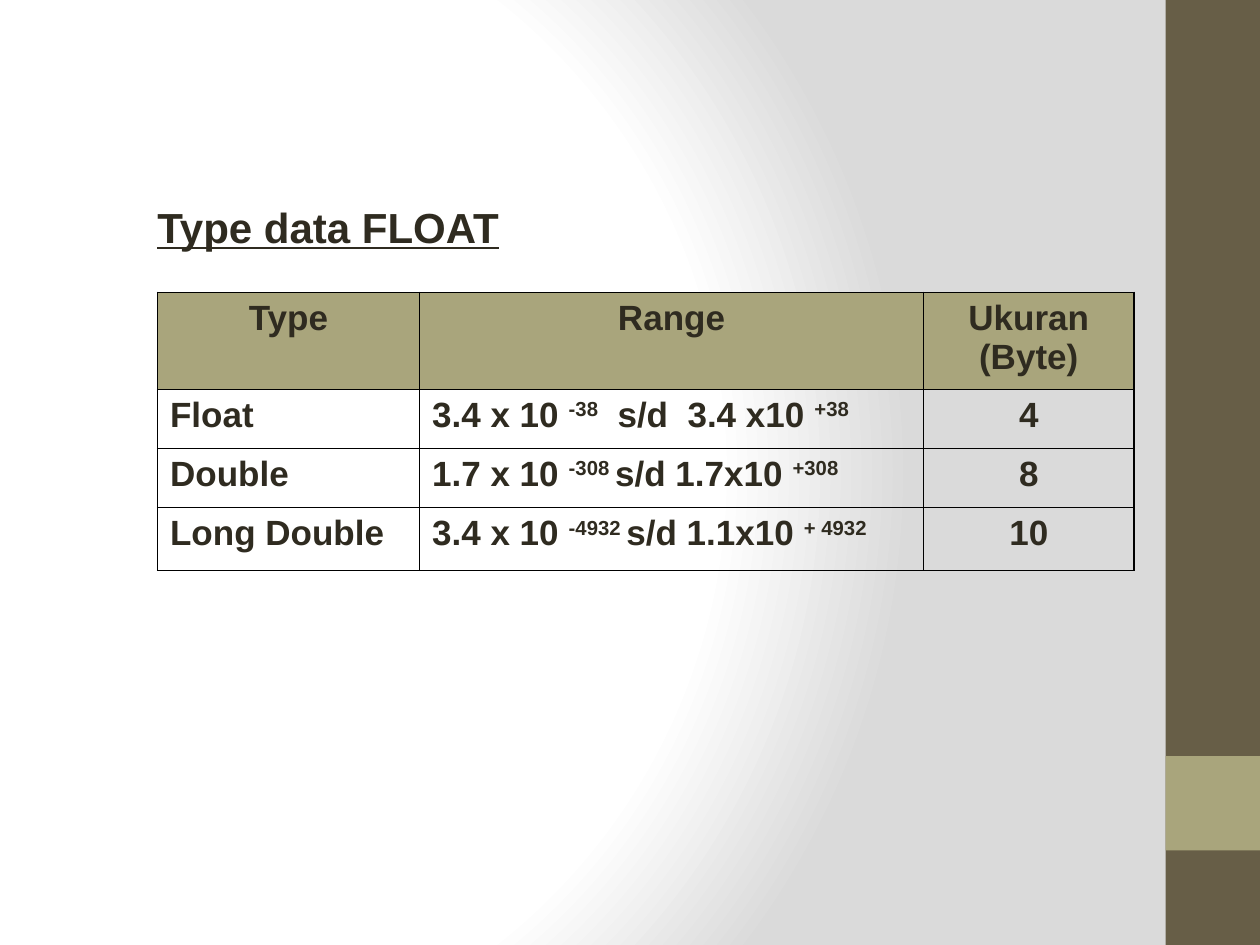
from dataclasses import dataclass

from pptx import Presentation
from pptx.dml.color import RGBColor
from pptx.enum.shapes import MSO_SHAPE
from pptx.enum.text import PP_ALIGN
from pptx.oxml import parse_xml
from pptx.oxml.ns import nsdecls
from pptx.util import Inches, Pt


@dataclass(frozen=True)
class Theme:
    """Colours, font and type sizes."""
    text: str = "2F2B20"
    band: str = "675E47"
    accent: str = "A9A57C"
    border: str = "000000"
    light: str = "FFFFFF"
    shade: str = "DADADA"
    font: str = "Arial"
    heading_size: int = 24
    table_size: int = 20


def write_text(paragraph, parts, theme, size, align=PP_ALIGN.LEFT, underline=None, hanging=0):
    """Write alternating normal and superscript parts into a paragraph."""
    paragraph.alignment = align
    if hanging:
        properties = paragraph._p.get_or_add_pPr()
        properties.set("marL", str(Inches(hanging)))
        properties.set("indent", str(-Inches(hanging)))
    for index, part in enumerate(parts):
        run = paragraph.add_run()
        run.text = part
        font = run.font
        font.name, font.size, font.bold = theme.font, Pt(size), True
        font.underline = underline
        font.color.rgb = RGBColor.from_string(theme.text)
        if index % 2:
            font._element.set("baseline", "30000")


class SlideBuilder:
    """Holds the theme and the current slide."""

    def __init__(self, slide, theme):
        """Keep the slide and its theme."""
        self.slide, self.theme = slide, theme

    def background(self):
        """Fill the background with a circular gradient."""
        stops = ((0, self.theme.light), (75, self.theme.light), (100, self.theme.shade))
        stop_xml = "".join(
            f'<a:gs pos="{position * 1000}"><a:srgbClr val="{color}"/></a:gs>'
            for position, color in stops)
        self.slide.element.cSld.insert(0, parse_xml(
            f'<p:bg {nsdecls("p", "a")}><p:bgPr><a:gradFill rotWithShape="1">'
            f'<a:gsLst>{stop_xml}</a:gsLst><a:path path="circle">'
            '<a:fillToRect l="20000" t="50000" r="100000" b="50000"/></a:path>'
            '</a:gradFill><a:effectLst/></p:bgPr></p:bg>'))

    def rectangle(self, left, top, width, height, color):
        """Add a plain filled rectangle."""
        shape = self.slide.shapes.add_shape(
            MSO_SHAPE.RECTANGLE, Inches(left), Inches(top), Inches(width), Inches(height))
        shape.shadow.inherit = False
        shape.fill.solid()
        shape.fill.fore_color.rgb = RGBColor.from_string(color)
        shape.line.fill.background()

    def heading(self, left, top, width, height, text):
        """Add an underlined heading without insets."""
        box = self.slide.shapes.add_textbox(
            Inches(left), Inches(top), Inches(width), Inches(height))
        frame = box.text_frame
        frame.word_wrap = True
        frame.margin_left = frame.margin_right = frame.margin_top = frame.margin_bottom = 0
        write_text(frame.paragraphs[0], [text], self.theme, self.theme.heading_size,
                   align=PP_ALIGN.JUSTIFY, underline=True)

    def cell_borders(self, cell):
        """Draw a thin line on all four sides of a cell."""
        properties = cell._tc.get_or_add_tcPr()
        for index, side in enumerate(("lnL", "lnR", "lnT", "lnB")):
            properties.insert(index, parse_xml(
                f'<a:{side} {nsdecls("a")} w="{Pt(1)}"><a:solidFill>'
                f'<a:srgbClr val="{self.theme.border}"/></a:solidFill></a:{side}>'))

    def table(self, left, top, widths, heights, rows):
        """Add a bordered table with a shaded header row."""
        frame = self.slide.shapes.add_table(
            len(rows), len(widths), Inches(left), Inches(top),
            Inches(sum(widths)), Inches(sum(heights)))
        table = frame.table
        table.first_row = table.horz_banding = False
        for column, width in zip(table.columns, widths):
            column.width = Inches(width)
        for row, height in zip(table.rows, heights):
            row.height = Inches(height)
        for row_index, row in enumerate(rows):
            for column_index, lines in enumerate(row):
                cell = table.cell(row_index, column_index)
                is_header = row_index == 0
                if is_header:
                    cell.fill.solid()
                    cell.fill.fore_color.rgb = RGBColor.from_string(self.theme.accent)
                else:
                    cell.fill.background()
                self.cell_borders(cell)
                centred = is_header or column_index == len(widths) - 1
                text_frame = cell.text_frame
                for line_index, parts in enumerate(lines):
                    paragraph = (text_frame.add_paragraph() if line_index
                                 else text_frame.paragraphs[0])
                    write_text(paragraph, parts, self.theme, self.theme.table_size,
                               align=PP_ALIGN.CENTER if centred else PP_ALIGN.LEFT,
                               hanging=0.38)


def main():
    """Build and save the presentation."""
    theme = Theme()
    presentation = Presentation()
    presentation.slide_width, presentation.slide_height = Inches(10), Inches(7.5)
    slide = presentation.slides.add_slide(presentation.slide_layouts[6])
    builder = SlideBuilder(slide, theme)
    builder.background()
    builder.rectangle(9.25, 0, 0.75, 7.5, theme.band)
    builder.rectangle(9.25, 6, 0.75, 0.75, theme.accent)
    builder.heading(1.25, 1.6, 4.83, 0.4, "Type data FLOAT")
    # Each cell is a list of lines; each line alternates normal and superscript text.
    rows = [
        ([["Type"]], [["Range"]], [["Ukuran"], ["(Byte)"]]),
        ([["Float"]], [["3.4 x 10 ", "-38", "  s/d  3.4 x10 ", "+38"]], [["4"]]),
        ([["Double"]], [["1.7 x 10 ", "-308 ", "s/d 1.7x10 ", "+308"]], [["8"]]),
        ([["Long Double"]], [["3.4 x 10 ", "-4932 ", "s/d 1.1x10 ", "+ 4932"]], [["10"]]),
    ]
    builder.table(1.25, 2.32, (2.08, 4, 1.67), (0.77, 0.47, 0.47, 0.5), rows)
    presentation.save("out.pptx")


main()
